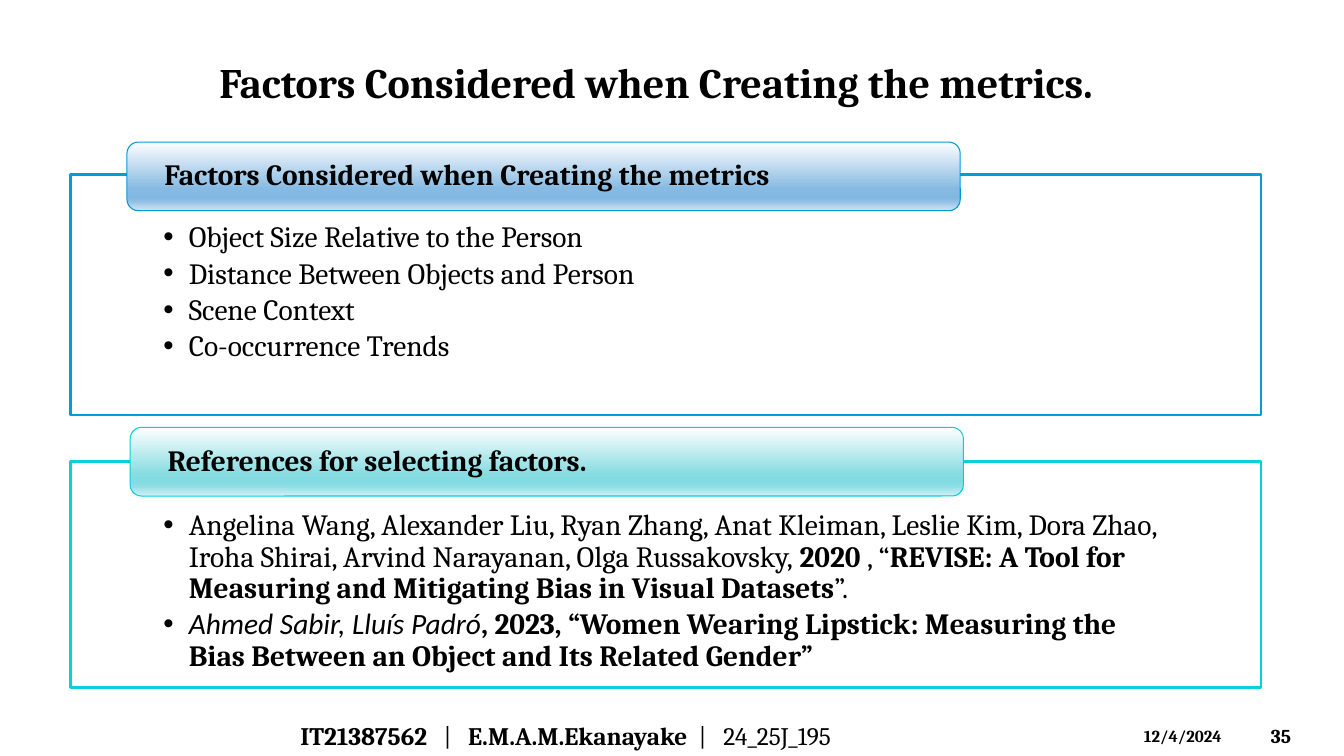
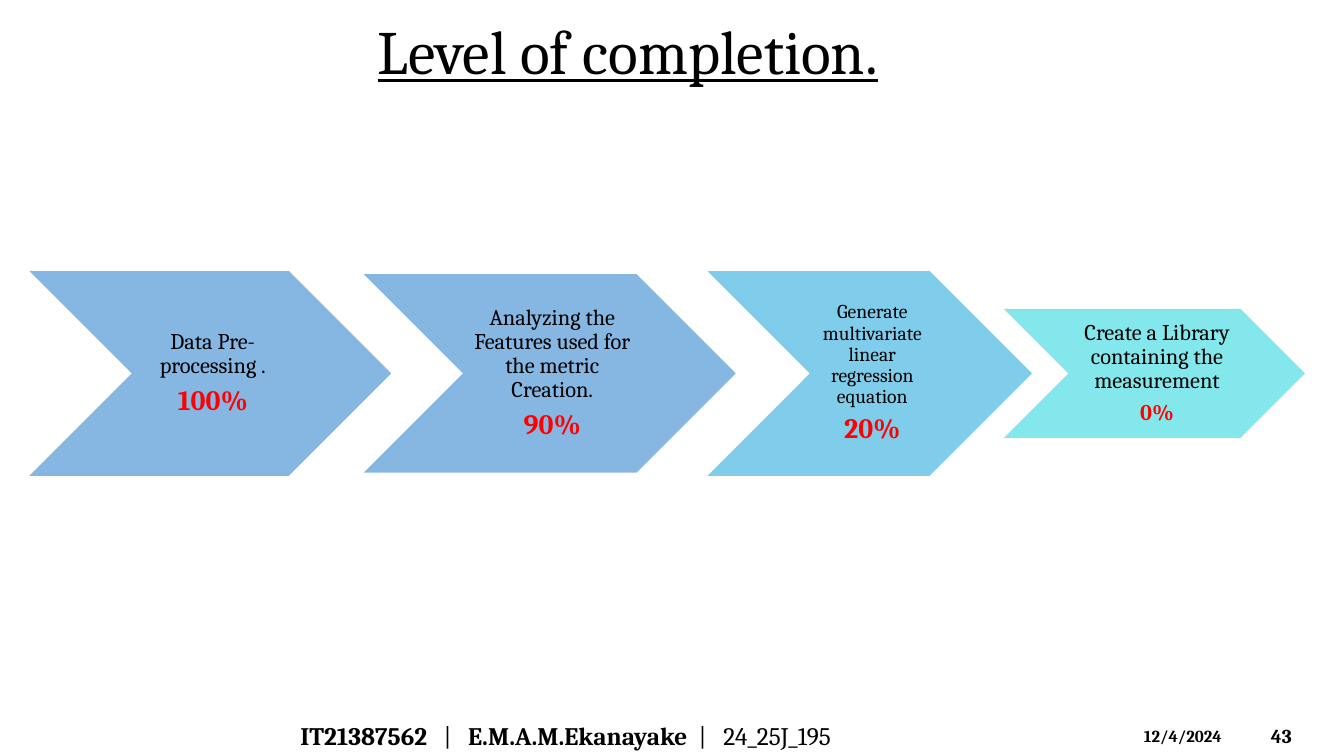
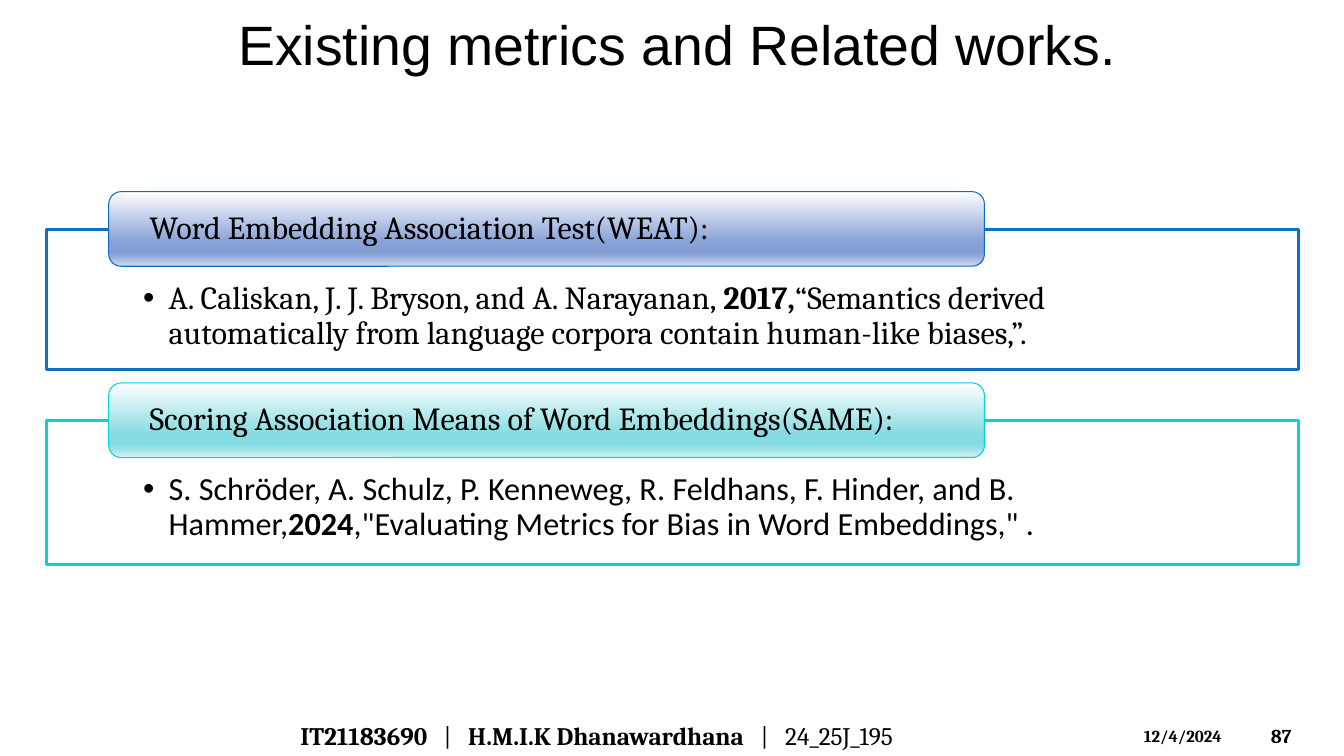
from dataclasses import dataclass, field
from typing import Any

from lxml import etree
from pptx import Presentation
from pptx import util as u
from pptx.dml.color import RGBColor
from pptx.enum import shapes, text
from pptx.oxml import ns

BLACK, WHITE, RED = "000000", "FFFFFF", "FF0000"
BLUE, SKY, TEAL = "0F6FC6", "009DD9", "0BD0D9"
SERIF = "Cambria"
BOLD = {"bold": True}
GRADIENT_STOPS = (0, 68, 81, 86, 100)
SKY_GLOSS = ("FEFEFF", "87BAE2", "81B7E2", "90BEE4", "D3E3F3")
TEAL_GLOSS = ("FEFFFF", "87DCE2", "82DBE2", "90DEE4", "D3F0F3")
BLUE_GLOSS = ("FEFEFF", "87A0D5", "829DD4", "91A7D7", "D4DBED")


@dataclass(frozen=True)
class Area:
    """A rectangle in centimetres."""
    left: float
    top: float
    width: float
    height: float

    def lengths(self) -> tuple:
        return tuple(u.Cm(n) for n in (self.left, self.top, self.width, self.height))


@dataclass(frozen=True)
class Span:
    """A run of text and the format values that differ from the default."""
    words: str
    look: dict[str, Any] = field(default_factory=dict)


@dataclass(frozen=True)
class PanelStyle:
    """What the panels of one slide have in common."""
    size: float
    frame_margins: tuple[float, float, float, float]
    tab_margin: float
    heading_look: dict[str, Any]


@dataclass(frozen=True)
class Panel:
    frame: Area
    tab: Area
    color: str
    tab_line: str
    gloss: tuple[str, ...]
    heading: str
    items: list[list[Span]]


@dataclass(frozen=True)
class Step:
    left: float
    width: float
    height: float
    color: str
    task: str
    task_size: float
    share: str
    share_size: float


@dataclass(frozen=True)
class Author:
    number: str
    name: str
    second_bar: float


def rgb(value: str) -> RGBColor:
    return RGBColor.from_string(value)


def write(para, spans: list[Span], size: float) -> None:
    for span in spans:
        run = para.add_run()
        run.text = span.words
        look = {"name": SERIF, "size": size, "color": BLACK, **span.look}
        run.font.color.rgb = rgb(look.pop("color"))
        look["size"] = u.Pt(look["size"])
        for name, value in look.items():
            setattr(run.font, name, value)


def space(para, size: float, share: float) -> None:
    """Tighten the lines and leave a share of the text size after."""
    para.line_spacing = 0.9
    para.space_after = u.Pt(round(size * share, 2))


def set_bullet(para) -> None:
    props = para._p.get_or_add_pPr()
    props.set("marL", str(u.Cm(0.64)))
    props.set("indent", str(u.Cm(-0.64)))
    etree.SubElement(props, ns.qn("a:buFont")).set("typeface", "Arial")
    etree.SubElement(props, ns.qn("a:buChar")).set("char", "•")


def set_tabs(para, stops: list[float]) -> None:
    tab_list = etree.SubElement(para._p.get_or_add_pPr(), ns.qn("a:tabLst"))
    for stop in stops:
        tab = etree.SubElement(tab_list, ns.qn("a:tab"))
        tab.set("pos", str(u.Cm(stop)))
        tab.set("algn", "l")


def set_margins(frame, left: float, top: float, right: float, bottom: float) -> None:
    margins = {"margin_left": left, "margin_top": top,
               "margin_right": right, "margin_bottom": bottom}
    for name, value in margins.items():
        setattr(frame, name, u.Cm(value))


def add_text(page, area: Area, spans: list[Span], size: float,
             anchor=text.MSO_ANCHOR.TOP, align=text.PP_ALIGN.LEFT):
    """Add a one-paragraph text box and return its paragraph."""
    box = page.shapes.add_textbox(*area.lengths())
    box.text_frame.word_wrap = True
    box.text_frame.vertical_anchor = anchor
    para = box.text_frame.paragraphs[0]
    para.alignment = align
    write(para, spans, size)
    return para


def add_plain_shape(page, kind, area: Area, fill: str, anchor):
    shape = page.shapes.add_shape(kind, *area.lengths())
    shape.shadow.inherit = False
    shape.fill.solid()
    shape.fill.fore_color.rgb = rgb(fill)
    shape.text_frame.word_wrap = True
    shape.text_frame.vertical_anchor = anchor
    return shape


def set_line(shape, color: str, width: float) -> None:
    shape.line.color.rgb = rgb(color)
    shape.line.width = u.Pt(width)


def set_gloss(shape, colors: tuple[str, ...]) -> None:
    """Fill from top to bottom with a glossy gradient."""
    shape.fill.gradient()
    shape.fill.gradient_angle = 270
    stop_list = shape._element.spPr.find(".//" + ns.qn("a:gsLst"))
    for stop in list(stop_list):
        stop_list.remove(stop)
    for position, color in zip(GRADIENT_STOPS, colors):
        stop = etree.SubElement(stop_list, ns.qn("a:gs"))
        stop.set("pos", str(position * 1000))
        etree.SubElement(stop, ns.qn("a:srgbClr")).set("val", color)


def set_opacity(shape, percent: int) -> None:
    color = shape._element.spPr.find(ns.qn("a:solidFill"))[0]
    etree.SubElement(color, ns.qn("a:alpha")).set("val", str(percent * 1000))


def add_panel(page, panel: Panel, style: PanelStyle) -> None:
    """Draw a framed list with a glossy heading over its top edge."""
    kinds = shapes.MSO_SHAPE
    frame = add_plain_shape(page, kinds.RECTANGLE, panel.frame, WHITE, text.MSO_ANCHOR.TOP)
    set_line(frame, panel.color, 2)
    set_margins(frame.text_frame, *style.frame_margins)
    for index, spans in enumerate(panel.items):
        paras = frame.text_frame
        para = paras.add_paragraph() if index else paras.paragraphs[0]
        para.alignment = text.PP_ALIGN.LEFT
        set_bullet(para)
        space(para, style.size, 0.15)
        write(para, spans, style.size)

    tab = add_plain_shape(page, kinds.ROUNDED_RECTANGLE, panel.tab, WHITE,
                          text.MSO_ANCHOR.MIDDLE)
    set_gloss(tab, panel.gloss)
    set_line(tab, panel.tab_line, 0.75)
    set_margins(tab.text_frame, style.tab_margin, 0, style.tab_margin, 0)
    para = tab.text_frame.paragraphs[0]
    para.alignment = text.PP_ALIGN.LEFT
    para.line_spacing = 0.9
    write(para, [Span(panel.heading, style.heading_look)], style.size)


def add_step(page, step: Step, middle: float) -> None:
    area = Area(step.left, middle - step.height / 2, step.width, step.height)
    chevron = add_plain_shape(page, shapes.MSO_SHAPE.CHEVRON, area, step.color,
                              text.MSO_ANCHOR.MIDDLE)
    set_opacity(chevron, 50)
    chevron.line.fill.background()
    frame = chevron.text_frame
    set_margins(frame, 0.18, 0.05, 0.05, 0.05)
    lines = [(Span(step.task), step.task_size),
             (Span(step.share, {"color": RED, "bold": True}), step.share_size)]
    for index, (span, size) in enumerate(lines):
        para = frame.add_paragraph() if index else frame.paragraphs[0]
        para.alignment = text.PP_ALIGN.CENTER
        space(para, size, 0.35)
        write(para, [span], size)


def add_page(deck, author: Author, number: int):
    """Add a blank slide with the shared footer."""
    page = deck.slides.add_slide(deck.slide_layouts[6])
    middle = text.MSO_ANCHOR.MIDDLE
    add_text(page, Area(31.78, 18.03, 1.88, 1.02), [Span(str(number), BOLD)], 14, middle)
    add_text(page, Area(28.58, 18.16, 2.97, 0.76), [Span("12/4/2024", BOLD)], 12)
    credit = add_text(page, Area(7.32, 18.03, 18.92, 1.02),
                      [Span(author.number, BOLD), Span("\t|\t"),
                       Span(author.name, BOLD), Span("\t|\t24_25J_195")], 18, middle)
    bars = (3.61, author.second_bar)
    set_tabs(credit, [stop for bar in bars for stop in (bar, bar + 0.62)])
    return page


EKANAYAKE = Author("IT21387562", "E.M.A.M.Ekanayake", 10.04)
DHANAWARDHANA = Author("IT21183690", "H.M.I.K Dhanawardhana", 11.6)

FACTOR_STYLE = PanelStyle(21, (2.34, 1.22, 2.34, 0.41), 0.86, BOLD)
FACTOR_PANELS = [
    Panel(Area(1.78, 4.39, 30, 6.07), Area(3.2, 3.58, 21, 1.73), SKY, "009AD4", SKY_GLOSS,
          "Factors Considered when Creating the metrics",
          [[Span("Object Size Relative to the Person")],
           [Span("Distance Between Objects and Person")],
           [Span("Scene Context")],
           [Span("Co-occurrence Trends")]]),
    Panel(Area(1.78, 11.63, 30, 5.69), Area(3.28, 10.77, 21, 1.73), TEAL, "06D0D9", TEAL_GLOSS,
          "References for selecting factors.",
          [[Span("Angelina Wang, Alexander Liu, Ryan Zhang, Anat Kleiman, Leslie Kim, "
                 "Dora Zhao, Iroha Shirai, Arvind Narayanan, Olga Russakovsky,"),
            Span(" 2020 ", BOLD), Span(", “"),
            Span("REVISE: A Tool for Measuring and Mitigating Bias in Visual Datasets", BOLD),
            Span("”.")],
           [Span("Ahmed Sabir, Lluís Padró", {"name": "Calibri", "italic": True}),
            Span(", 2023, “Women Wearing Lipstick: Measuring the Bias Between an Object "
                 "and Its Related Gender”", BOLD)]]),
]

STEPS = [
    Step(0.74, 9.12, 5.16, BLUE, "Data Pre-processing .", 16, "100%", 20),
    Step(9.17, 9.37, 5, BLUE, "Analyzing the Features used for the metric Creation.", 16,
         "90%", 20),
    Step(17.83, 8.18, 5.16, SKY, "Generate multivariate linear regression equation", 14,
         "20%", 20),
    Step(25.3, 7.59, 3.25, TEAL, "Create a Library containing the measurement", 16, "0%", 16),
]

CALIBRI = {"name": "Calibri"}
METRIC_STYLE = PanelStyle(23, (2.44, 1.32, 2.44, 0.46), 0.94, {})
METRIC_PANELS = [
    Panel(Area(1.17, 5.79, 31.55, 3.53), Area(2.74, 4.83, 22.07, 1.88), BLUE, "0A6DC6",
          BLUE_GLOSS, "Word Embedding Association Test(WEAT):",
          [[Span("A. Caliskan, J. J. Bryson, and A. Narayanan, "), Span("2017,", BOLD),
            Span("“Semantics derived automatically from language corpora contain "
                 "human-like biases,”.")]]),
    Panel(Area(1.17, 10.59, 31.55, 3.63), Area(2.74, 9.65, 22.07, 1.88), TEAL, "06D0D9",
          TEAL_GLOSS, "Scoring Association Means of Word Embeddings(SAME):",
          [[Span("S. Schröder, A. Schulz, P. Kenneweg, R. Feldhans, F. Hinder, "
                 "and B. Hammer,", CALIBRI),
            Span("2024", CALIBRI | BOLD),
            Span(',"Evaluating Metrics for Bias in Word Embeddings," .', CALIBRI)]]),
]


def main() -> None:
    deck = Presentation()
    deck.slide_width, deck.slide_height = u.Cm(33.87), u.Cm(19.05)

    page = add_page(deck, EKANAYAKE, 35)
    add_text(page, Area(5.28, 1.3, 23.29, 1.55),
             [Span("Factors Considered when Creating the metrics.", BOLD)], 30)
    for panel in FACTOR_PANELS:
        add_panel(page, panel, FACTOR_STYLE)

    page = add_page(deck, EKANAYAKE, 43)
    add_text(page, Area(9.27, 0.2, 15.34, 2.13),
             [Span("Level of completion.", {"underline": True})], 44)
    for step in STEPS:
        add_step(page, step, 9.41)

    page = add_page(deck, DHANAWARDHANA, 87)
    add_text(page, Area(0.84, 0, 32.46, 2.2),
             [Span("Existing metrics and Related works.", {"name": "Arial"})], 39.6,
             text.MSO_ANCHOR.MIDDLE, text.PP_ALIGN.CENTER)
    for panel in METRIC_PANELS:
        add_panel(page, panel, METRIC_STYLE)

    deck.save("out.pptx")


if __name__ == "__main__":
    main()
